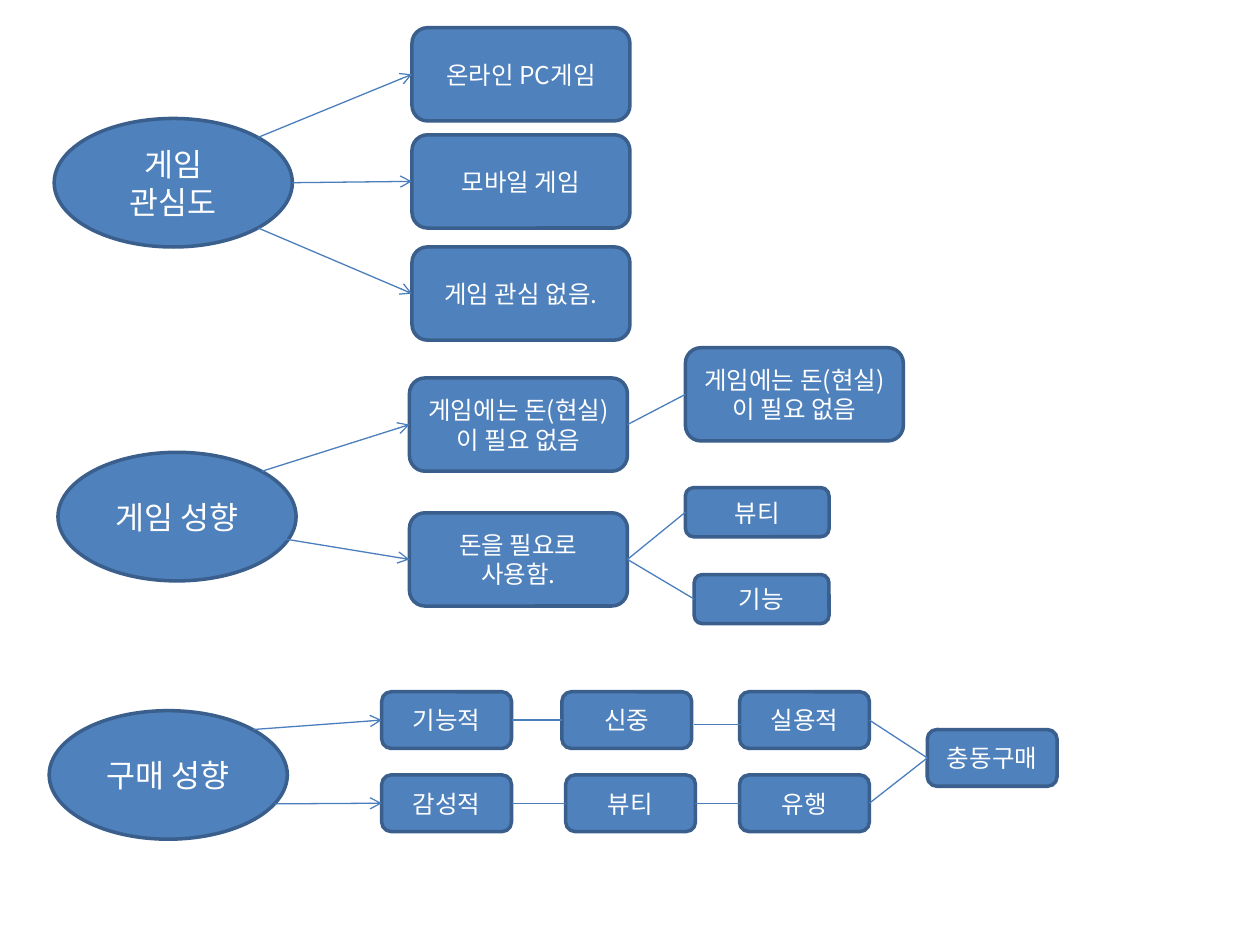
from dataclasses import dataclass
from typing import Union

from lxml import etree
from pptx import Presentation
from pptx.dml.color import RGBColor
from pptx.enum import shapes, text
from pptx.oxml.ns import qn
from pptx.util import Inches, Pt

FILL = RGBColor(0x4F, 0x81, 0xBD)
EDGE = RGBColor(0x3A, 0x5F, 0x8C)
LINK = RGBColor(0x4B, 0x7E, 0xBC)
WHITE = RGBColor(0xFF, 0xFF, 0xFF)
FONT = "Noto Sans CJK KR"
OVAL = (1.89, 1.02)
WIDE = (1.73, 0.74)
SMALL = (1.03, 0.45)
LEFT, RIGHT = 1, 3


@dataclass
class Node:
    """A labelled shape of the diagram."""
    key: str
    label: str
    x: float
    y: float
    size: tuple[float, float] = WIDE


@dataclass
class Link:
    """A line between nodes, given by key, or between points."""
    start: Union[str, tuple[float, float]]
    end: Union[str, tuple[float, float]]
    arrow: bool = False


NO_CASH = "게임에는 돈(현실)이 필요 없음"
NODES = [
    Node("interest", "게임\n관심도", 0.43, 0.94, OVAL),
    Node("online", "온라인 PC게임", 3.27, 0.22),
    Node("mobile", "모바일 게임", 3.27, 1.07),
    Node("none", "게임 관심 없음.", 3.27, 1.96),
    Node("style", "게임 성향", 0.46, 3.59, OVAL),
    Node("free", NO_CASH, 3.25, 3),
    Node("paid", "돈을 필요로 사용함.", 3.25, 4.07),
    Node("result", NO_CASH, 5.44, 2.76),
    Node("beauty", "뷰티", 5.44, 3.87, (1.14, 0.39)),
    Node("function", "기능", 5.51, 4.56, (1.07, 0.39)),
    Node("buying", "구매 성향", 0.39, 5.64, OVAL),
    Node("useful", "기능적", 3.03, 5.49, SMALL),
    Node("careful", "신중", 4.46, 5.49, SMALL),
    Node("handy", "실용적", 5.87, 5.49, SMALL),
    Node("feeling", "감성적", 3.03, 6.15, SMALL),
    Node("looks", "뷰티", 4.49, 6.15, SMALL),
    Node("trend", "유행", 5.87, 6.15, SMALL),
    Node("impulse", "충동구매", 7.36, 5.79, SMALL),
]
LINKS = [
    Link((2.05, 1.09), "online", True),
    Link((2.32, 1.45), "mobile", True),
    Link((2.05, 1.81), "none", True),
    Link((2.08, 3.74), "free", True),
    Link((2.21, 4.27), "paid", True),
    Link((2.01, 5.79), "useful", True),
    Link((2.18, 6.38), "feeling", True),
    Link("free", "result"),
    Link("paid", "beauty"),
    Link("paid", "function"),
    Link("useful", "careful"),
    Link((5.51, 5.75), (5.92, 5.75)),
    Link("feeling", "looks"),
    Link("looks", "trend"),
    Link("handy", "impulse"),
    Link("trend", "impulse"),
]


def add_node(slide, node: Node):
    """Draw a node with its centred label and return the shape."""
    oval = node.size == OVAL
    kind = shapes.MSO_SHAPE.OVAL if oval else shapes.MSO_SHAPE.ROUNDED_RECTANGLE
    box = slide.shapes.add_shape(
        kind, *(Inches(v) for v in (node.x, node.y, *node.size)))
    box.shadow.inherit = False
    box.fill.solid()
    box.fill.fore_color.rgb = FILL
    box.line.color.rgb = EDGE
    box.line.width = Pt(2)
    frame = box.text_frame
    frame.text = node.label
    frame.word_wrap = True
    frame.vertical_anchor = text.MSO_ANCHOR.MIDDLE
    for para in frame.paragraphs:
        para.alignment = text.PP_ALIGN.CENTER
        for run in para.runs:
            run.font.size = Pt(18 if oval else 14)
            run.font.name = FONT
            run.font.color.rgb = WHITE
            east = etree.SubElement(run.font._element, qn("a:ea"))
            east.set("typeface", FONT)
    return box


def add_link(slide, link: Link, boxes: dict) -> None:
    """Draw a link, glued to a node wherever a key is given."""
    ends = [(0, 0) if isinstance(end, str) else end
            for end in (link.start, link.end)]
    line = slide.shapes.add_connector(
        shapes.MSO_CONNECTOR.STRAIGHT, *(Inches(v) for end in ends for v in end))
    if isinstance(link.start, str):
        line.begin_connect(boxes[link.start], RIGHT)
    if isinstance(link.end, str):
        line.end_connect(boxes[link.end], LEFT)
    line.line.color.rgb = LINK
    line.line.width = Pt(0.75)
    if link.arrow:
        tail = etree.SubElement(line.line._get_or_add_ln(), qn("a:tailEnd"))
        tail.set("type", "arrow")
    etree.SubElement(line._element.spPr, qn("a:effectLst"))


def main() -> None:
    """Build the slide and save it."""
    deck = Presentation()
    deck.slide_width, deck.slide_height = Inches(10), Inches(7.5)
    slide = deck.slides.add_slide(deck.slide_layouts[6])
    boxes = {node.key: add_node(slide, node) for node in NODES}
    for link in LINKS:
        add_link(slide, link, boxes)
    deck.save("out.pptx")


main()
